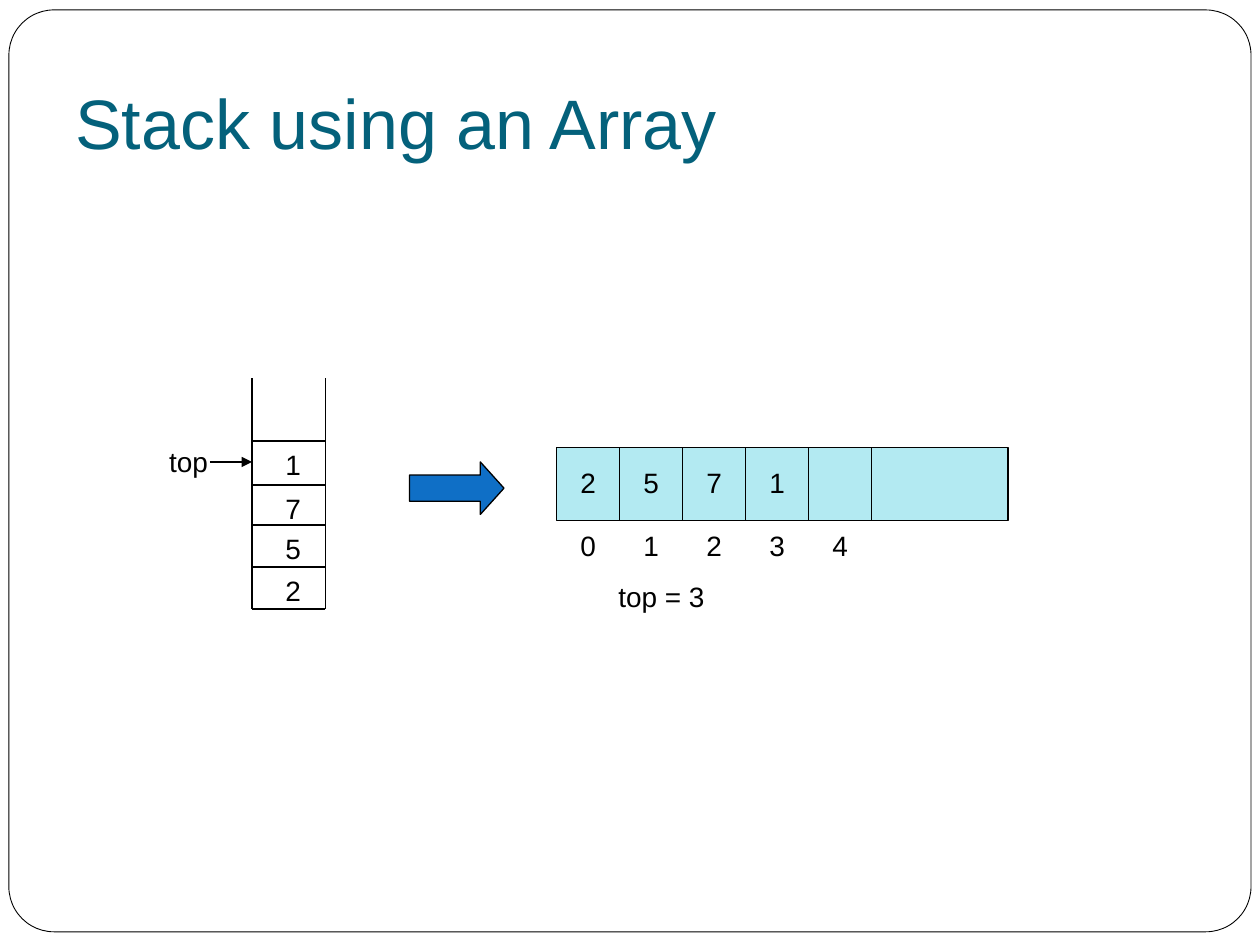
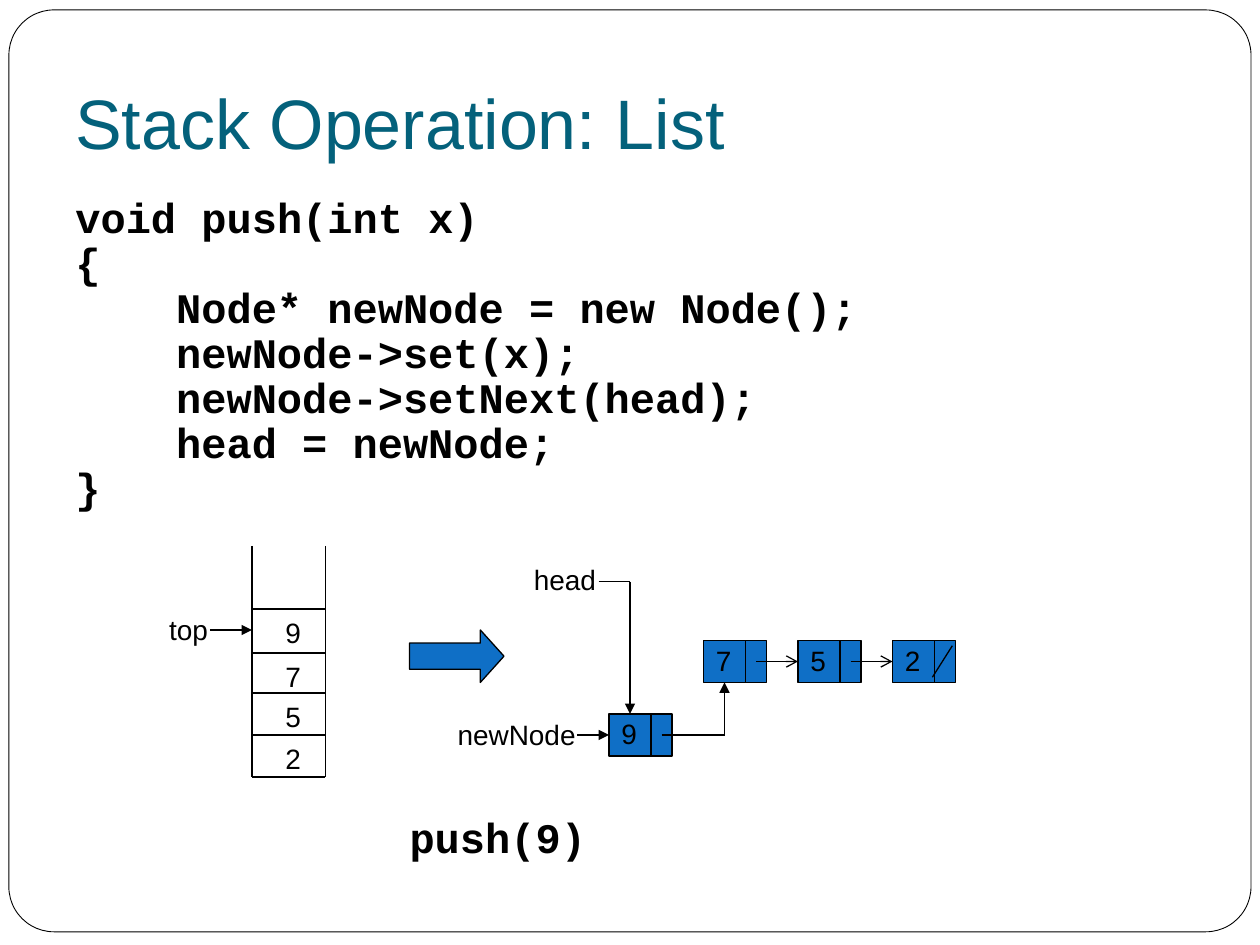
from lxml import etree
from pptx import Presentation
from pptx import util as u
from pptx.dml.color import RGBColor
from pptx.enum import shapes, text
from pptx.oxml.ns import qn

COLORS = {"title": "04617B", "ink": "000000", "paper": "FFFFFF",
          "node": "0F6FC6", "cell": "B3EAF2"}
SANS, MONO = "Arial", "Courier New"

# Lengths are grid units: the slide is 120 columns by 90 rows.
COLUMNS, ROWS = 120, 90
GRID = u.Inches(10) // COLUMNS
DIGIT_W, LABEL_H = 3.8, 4.4

# Stack: rows are offsets from its open top
STACK_LEFT, STACK_RIGHT = 24, 31
STACK_ROWS = [6, 10.2, 14, 18]
STACK_HEIGHT = 22

ARRAY = {"title": "Stack using an Array", "stack_top": 36,
         "stack": ["1", "7", "5", "2"], "values": ["2", "5", "7", "1"],
         "indices": ["0", "1", "2", "3", "4"], "caption": "top = 3"}
ARRAY_LEFT, ARRAY_TOP, ARRAY_W, ARRAY_H, CELL_W = 53, 42.6, 43, 7, 6

LIST = {"title": "Stack Operation: List", "stack_top": 52,
        "stack": ["9", "7", "5", "2"], "chain": ["7", "5", "2"],
        "new": "9", "caption": "push(9)"}
CODE = [  # indent in characters, statement
    (0, "void push(int x)"),
    (0, "{"),
    (4, "Node* newNode = new Node();"),
    (4, "newNode->set(x);"),
    (4, "newNode->setNext(head);"),
    (4, "head = newNode;"),
    (0, "}"),
]
CODE_CHAR_W = u.Inches(0.2)
NODE_W, NODE_H, NODE_SPLIT, NODE_PITCH = 6, 4, 4, 9
CHAIN_LEFT, CHAIN_TOP, NEW_LEFT, NEW_TOP = 67, 61, 58, 68


def grid(*lengths):
    return [u.Emu(round(n * GRID)) for n in lengths]


def rgb(name):
    return RGBColor.from_string(COLORS[name])


def write(slide, lines, x, y, w, h=LABEL_H, *, font=SANS, size=16, color="ink",
          bold=False, align=text.PP_ALIGN.CENTER, anchor=text.MSO_ANCHOR.TOP,
          wrap=False, bottom=0.05, spacing=None, before=None):
    """Add text; lines is a string or a list of (indent in characters, string)."""
    frame = slide.shapes.add_textbox(*grid(x, y, w, h)).text_frame
    frame.word_wrap = wrap
    frame.vertical_anchor = anchor
    frame.margin_bottom = u.Inches(bottom)
    if isinstance(lines, str):
        lines = [(0, lines)]
    for number, (indent, line) in enumerate(lines):
        paragraph = frame.add_paragraph() if number else frame.paragraphs[0]
        paragraph.alignment = align
        if spacing:
            paragraph.line_spacing = spacing
        if before:
            paragraph.space_before = u.Pt(before)
        if indent:
            paragraph._p.get_or_add_pPr().set("marL", str(indent * CODE_CHAR_W))
        run = paragraph.add_run()
        run.text = line
        run.font.name, run.font.size, run.font.bold = font, u.Pt(size), bold
        run.font.color.rgb = rgb(color)


def digit(slide, value, x, y):
    write(slide, value, x, y, DIGIT_W)


def block(slide, kind, x, y, w, h, fill, weight=0.75):
    shape = slide.shapes.add_shape(kind, *grid(x, y, w, h))
    shape.shadow.inherit = False
    shape.fill.solid()
    shape.fill.fore_color.rgb = rgb(fill)
    shape.line.color.rgb = rgb("ink")
    shape.line.width = u.Pt(weight)
    return shape


def line(slide, x1, y1, x2, y2, head=None):
    connector = slide.shapes.add_connector(
        shapes.MSO_CONNECTOR.STRAIGHT, *grid(x1, y1, x2, y2))
    connector.line.color.rgb = rgb("ink")
    connector.line.width = u.Pt(0.75)
    if head:
        etree.SubElement(connector.line._get_or_add_ln(), qn("a:tailEnd"), type=head)
    etree.SubElement(connector._element.spPr, qn("a:effectLst"))


def framed_slide(deck, title):
    slide = deck.slides.add_slide(deck.slide_layouts[6])
    frame = block(slide, shapes.MSO_SHAPE.ROUNDED_RECTANGLE,
                  0.85, 0.95, 118.3, 87.8, "paper", 0.5)
    frame.adjustments[0] = 0.049
    write(slide, title, 6, 4.8, 108, 12, size=40, color="title", wrap=True,
          align=text.PP_ALIGN.LEFT, anchor=text.MSO_ANCHOR.BOTTOM, bottom=0.1)
    return slide


def draw_stack(slide, top, values):
    """Draw the open stack, its top pointer and the block arrow beside it."""
    bottom = top + STACK_HEIGHT
    for x in (STACK_LEFT, STACK_RIGHT):
        line(slide, x, top, x, bottom)
    for offset in STACK_ROWS + [STACK_HEIGHT]:
        line(slide, STACK_LEFT, top + offset, STACK_RIGHT, top + offset)
    for offset, value in zip(STACK_ROWS, values):
        digit(slide, value, STACK_LEFT + 2, top + offset)
    pointer = top + 8
    write(slide, "top", 14.9, pointer - 2.3, 6.1)
    line(slide, 20, pointer, STACK_LEFT, pointer, "triangle")
    arrow = block(slide, shapes.MSO_SHAPE.RIGHT_ARROW, 39, pointer, 9, 5, "node")
    arrow.adjustments[1] = 0.45


def draw_array(slide, values, indices, caption):
    bottom = ARRAY_TOP + ARRAY_H
    block(slide, shapes.MSO_SHAPE.RECTANGLE,
          ARRAY_LEFT, ARRAY_TOP, ARRAY_W, ARRAY_H, "cell")
    for number in range(len(indices)):
        edge = ARRAY_LEFT + (number + 1) * CELL_W
        line(slide, edge, ARRAY_TOP, edge, bottom)
    for row, y in ((values, ARRAY_TOP + 1.1), (indices, bottom + 0.1)):
        for number, value in enumerate(row):
            digit(slide, value, ARRAY_LEFT + number * CELL_W + 1.1, y)
    write(slide, caption, 57.7, bottom + 5, 10.6)


def draw_node(slide, value, x, y):
    block(slide, shapes.MSO_SHAPE.RECTANGLE, x, y, NODE_W, NODE_H, "node")
    line(slide, x + NODE_SPLIT, y, x + NODE_SPLIT, y + NODE_H)
    digit(slide, value, x, y - 0.35)


def draw_list(slide, chain, new, caption):
    middle = CHAIN_TOP + NODE_H / 2
    for number, value in enumerate(chain):
        x = CHAIN_LEFT + number * NODE_PITCH
        draw_node(slide, value, x, CHAIN_TOP)
        if number < len(chain) - 1:
            line(slide, x + 5, middle, x + NODE_PITCH, middle, "arrow")
        else:
            line(slide, x + 5.7, CHAIN_TOP + 0.5, x + 3.8, CHAIN_TOP + 3.5)

    draw_node(slide, new, NEW_LEFT, NEW_TOP)
    new_middle = NEW_TOP + NODE_H / 2
    link = CHAIN_LEFT + 2
    line(slide, NEW_LEFT + 5, new_middle, link, new_middle)
    line(slide, link, new_middle, link, CHAIN_TOP + NODE_H, "triangle")
    write(slide, "newNode", 41.7, new_middle - 2.3, 15)
    line(slide, 55, new_middle, NEW_LEFT, new_middle, "triangle")

    head_y, head_x = 55.4, NEW_LEFT + 2
    write(slide, "head", 49.3, head_y - 2.4, 9)
    line(slide, 57, head_y, head_x, head_y)
    line(slide, head_x, head_y, head_x, NEW_TOP, "triangle")
    write(slide, caption, 36.9, 76.7, 21, 6, font=MONO, size=24, bold=True)


def main():
    deck = Presentation()
    deck.slide_width, deck.slide_height = grid(COLUMNS, ROWS)

    slide = framed_slide(deck, ARRAY["title"])
    draw_stack(slide, ARRAY["stack_top"], ARRAY["stack"])
    draw_array(slide, ARRAY["values"], ARRAY["indices"], ARRAY["caption"])

    slide = framed_slide(deck, LIST["title"])
    write(slide, CODE, 6, 19, 108, 31, font=MONO, size=24, bold=True, wrap=True,
          align=text.PP_ALIGN.LEFT, spacing=0.7, before=5.5)
    draw_stack(slide, LIST["stack_top"], LIST["stack"])
    draw_list(slide, LIST["chain"], LIST["new"], LIST["caption"])

    deck.save("out.pptx")


if __name__ == "__main__":
    main()
